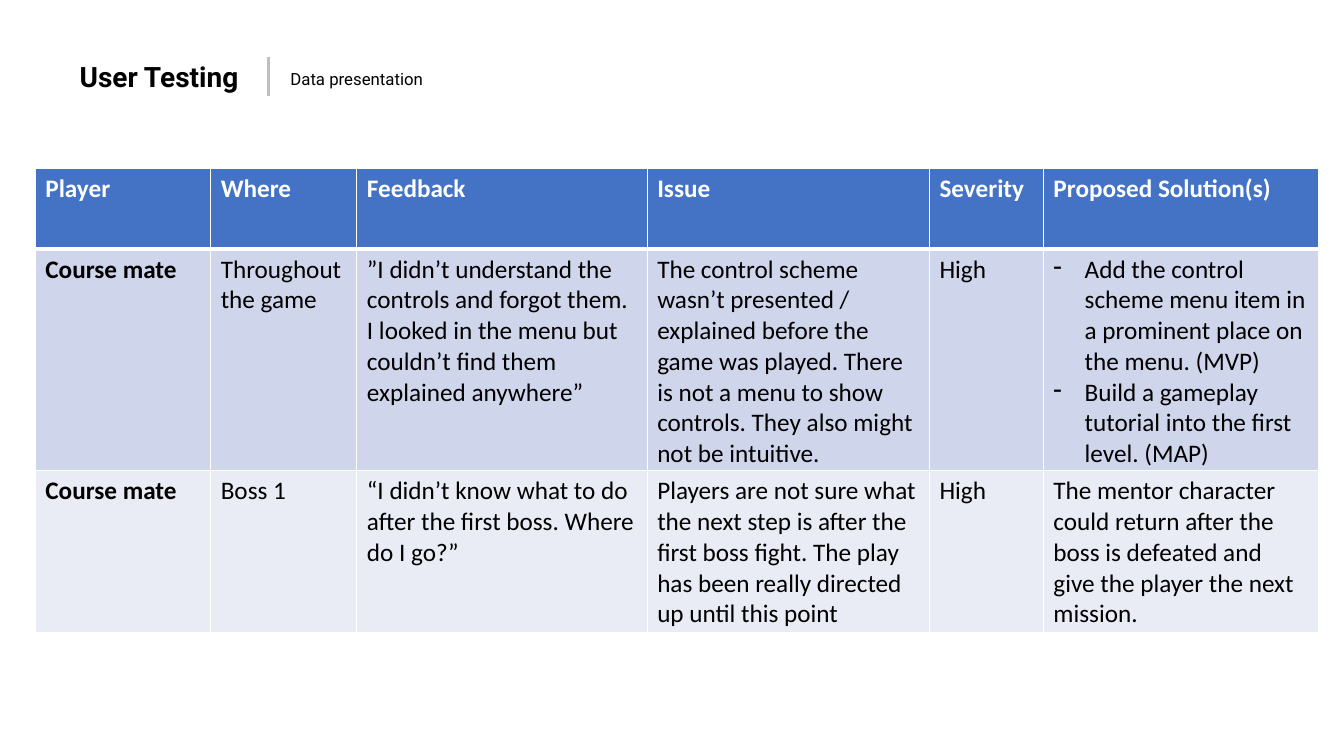
from lxml import etree
from pptx import Presentation
from pptx import util as u
from pptx.dml.color import RGBColor
from pptx.enum import shapes, text
from pptx.oxml import ns

BLACK = RGBColor(0x00, 0x00, 0x00)
WHITE = RGBColor(0xFF, 0xFF, 0xFF)
DIVIDER_GREY = RGBColor(0xBF, 0xBF, 0xBF)
HEADER_BLUE = RGBColor(0x44, 0x72, 0xC4)
BAND_DARK = RGBColor(0xCF, 0xD5, 0xEA)
BAND_LIGHT = RGBColor(0xE9, 0xEB, 0xF5)

COLUMN_SHARES = [13.05, 10.88, 21.6, 21, 8.48, 20.48]
ROW_SHARE = 10.67
FINDINGS = [
    ["Player", "Where", "Feedback", "Issue", "Severity", "Proposed Solution(s)"],
    ["Course mate", "Throughout the game",
     "”I didn’t understand the controls and forgot them. I looked in the menu "
     "but couldn’t find them explained anywhere”",
     "The control scheme wasn’t presented / explained before the game was played. "
     "There is not a menu to show controls. They also might not be intuitive.",
     "High",
     ["Add the control scheme menu item in a prominent place on the menu. (MVP)",
      "Build a gameplay tutorial into the first level. (MAP)"]],
    ["Course mate", "Boss 1",
     "“I didn’t know what to do after the first boss. Where do I go?”",
     "Players are not sure what the next step is after the first boss fight. "
     "The play has been really directed up until this point",
     "High",
     "The mentor character could return after the boss is defeated and give "
     "the player the next mission."],
]


def write(frame, content, font="Calibri", size=18, color=BLACK, bold=False):
    """Fill a text frame; a list becomes one dashed paragraph per item."""
    dashed = isinstance(content, list)
    for i, line in enumerate(content if dashed else [content]):
        paragraph = frame.add_paragraph() if i else frame.paragraphs[0]
        run = paragraph.add_run()
        run.text = line
        run.font.name, run.font.size = font, u.Pt(size)
        run.font.bold, run.font.color.rgb = bold, color
        if dashed:
            properties = paragraph._p.get_or_add_pPr()
            properties.set("marL", str(u.Inches(0.31)))
            properties.set("indent", str(-u.Inches(0.31)))
            etree.SubElement(properties, ns.qn("a:buChar")).set("char", "-")


def set_borders(cell, **widths):
    """Draw white borders; widths are points keyed by side, in schema order."""
    properties = cell._tc.get_or_add_tcPr()
    for position, (side, width) in enumerate(widths.items()):
        border = etree.Element(ns.qn(f"a:ln{side}"), w=str(u.Pt(width)))
        fill = etree.SubElement(border, ns.qn("a:solidFill"))
        etree.SubElement(fill, ns.qn("a:srgbClr")).set("val", str(WHITE))
        properties.insert(position, border)


class SlideBuilder:
    """Places elements on one slide; lengths are percent of the slide's size."""

    def __init__(self, deck):
        self.deck = deck
        self.slide = deck.slides.add_slide(deck.slide_layouts[6])
        self.inset = u.Inches(0.13)

    def x(self, share):
        return round(self.deck.slide_width * share / 100)

    def y(self, share):
        return round(self.deck.slide_height * share / 100)

    def label(self, left, top, width, height, content,
              anchor=text.MSO_ANCHOR.TOP, **style):
        frame = self.slide.shapes.add_textbox(
            self.x(left), self.y(top), self.x(width), self.y(height)).text_frame
        frame.word_wrap = True
        frame.vertical_anchor = anchor
        frame.margin_left = frame.margin_right = self.inset
        frame.margin_top = frame.margin_bottom = self.inset
        write(frame, content, font="Roboto", **style)

    def divider(self, left, top, bottom):
        rule = self.slide.shapes.add_connector(
            shapes.MSO_CONNECTOR.STRAIGHT,
            self.x(left), self.y(top), self.x(left), self.y(bottom))
        rule.line.color.rgb = DIVIDER_GREY
        rule.line.width = u.Pt(2.25)
        etree.SubElement(rule._element.spPr, ns.qn("a:effectLst"))

    def table(self, left, top, column_shares, row_share, rows):
        grid = self.slide.shapes.add_table(
            len(rows), len(column_shares), self.x(left), self.y(top),
            self.x(sum(column_shares)), self.y(row_share * len(rows))).table
        for column, share in zip(grid.columns, column_shares):
            column.width = self.x(share)
        for r, row in enumerate(rows):
            grid.rows[r].height = self.y(row_share)
            header = r == 0
            band = HEADER_BLUE if header else BAND_DARK if r % 2 else BAND_LIGHT
            for c, content in enumerate(row):
                cell = grid.cell(r, c)
                cell.fill.solid()
                cell.fill.fore_color.rgb = band
                set_borders(cell, L=1, R=1, T=3 if r == 1 else 1,
                            B=3 if header else 1)
                write(cell.text_frame, content, bold=header or c == 0,
                      color=WHITE if header else BLACK)


def main():
    deck = Presentation()
    deck.slide_width, deck.slide_height = u.Inches(13.33), u.Inches(7.5)
    page = SlideBuilder(deck)
    page.label(4.95, 6.13, 14.85, 8.8, "User Testing", size=20, bold=True)
    page.divider(19.95, 7.6, 12.67)
    page.label(20.63, 7.6, 59.48, 5.73, "Data presentation", size=12,
               anchor=text.MSO_ANCHOR.MIDDLE)
    page.table(2.63, 22.27, COLUMN_SHARES, ROW_SHARE, FINDINGS)
    deck.save("out.pptx")


if __name__ == "__main__":
    main()
